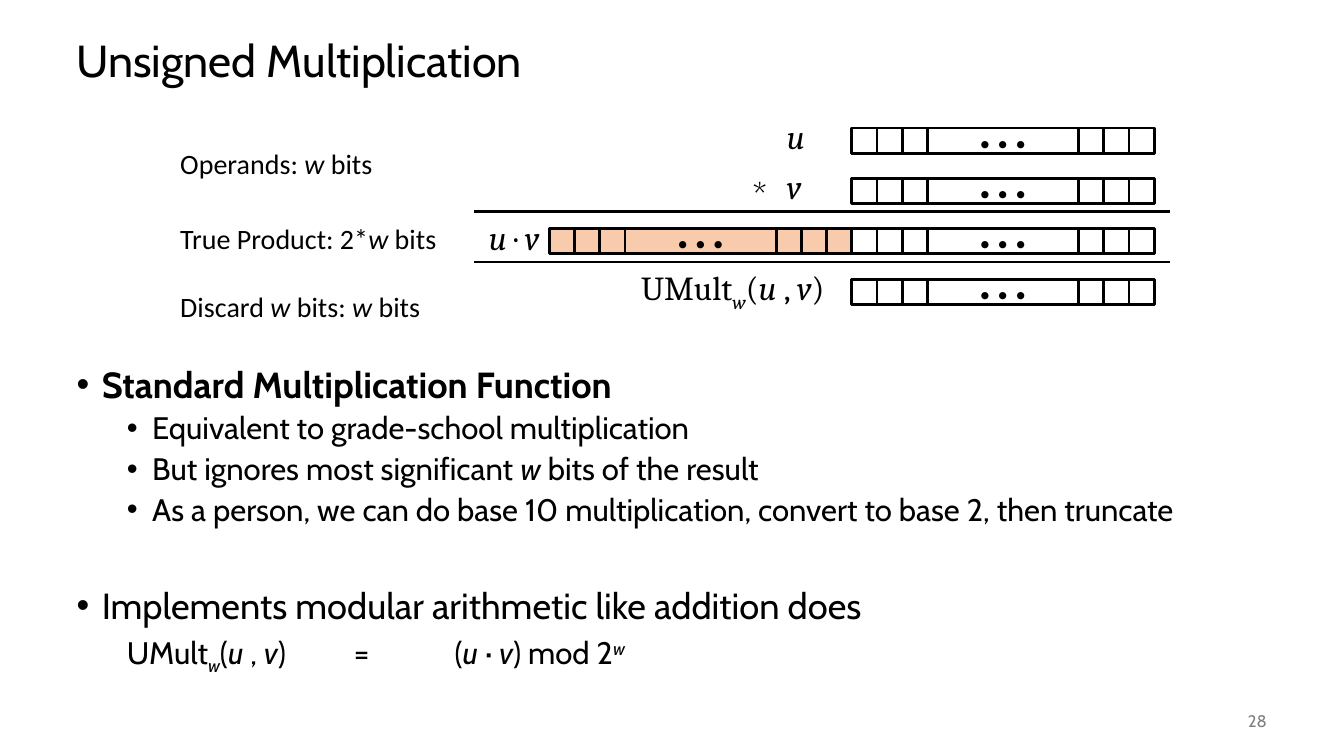
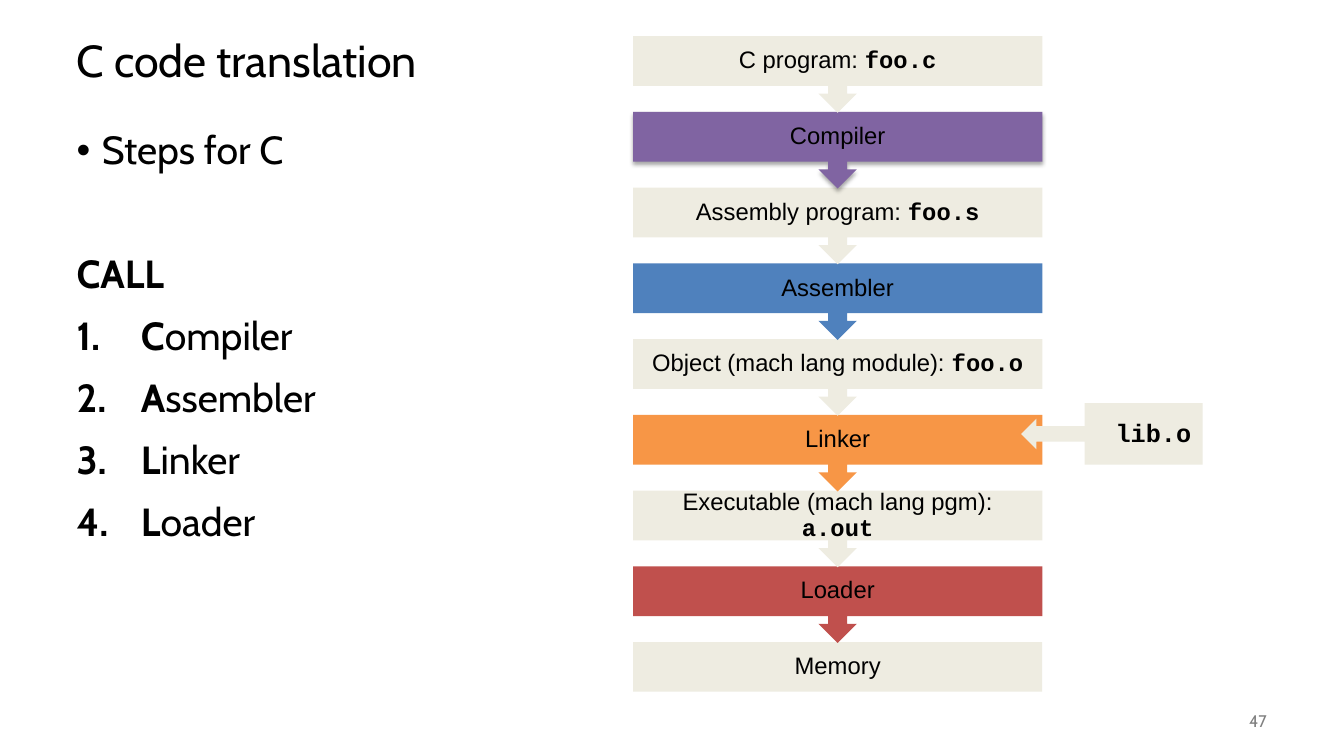
"""Build two lecture slides: unsigned multiplication and C code translation."""
from dataclasses import dataclass

from lxml import etree
from pptx import Presentation
from pptx.dml.color import RGBColor
from pptx.enum.shapes import MSO_CONNECTOR, MSO_SHAPE
from pptx.enum.text import MSO_ANCHOR, MSO_AUTO_SIZE, PP_ALIGN
from pptx.oxml.ns import qn
from pptx.util import Pt

RECTANGLE = MSO_SHAPE.RECTANGLE
DOWN_CALLOUT = MSO_SHAPE.DOWN_ARROW_CALLOUT
LEFT_CALLOUT = MSO_SHAPE.LEFT_ARROW_CALLOUT
STRAIGHT = MSO_CONNECTOR.STRAIGHT
MIDDLE = MSO_ANCHOR.MIDDLE
NO_FIT = MSO_AUTO_SIZE.NONE
LEFT, CENTER, RIGHT = PP_ALIGN.LEFT, PP_ALIGN.CENTER, PP_ALIGN.RIGHT


@dataclass(frozen=True)
class Theme:
    ink: RGBColor = RGBColor(0x00, 0x00, 0x00)
    paper: RGBColor = RGBColor(0xFF, 0xFF, 0xFF)
    muted: RGBColor = RGBColor(0x80, 0x80, 0x80)
    discarded: RGBColor = RGBColor(0xF8, 0xCB, 0xAD)
    artifact: RGBColor = RGBColor(0xEE, 0xEC, 0xE1)
    compiler: RGBColor = RGBColor(0x80, 0x64, 0xA2)
    assembler: RGBColor = RGBColor(0x4F, 0x81, 0xBD)
    linker: RGBColor = RGBColor(0xF7, 0x96, 0x46)
    loader: RGBColor = RGBColor(0xC0, 0x50, 0x4D)
    main_font: str = "Cabin"
    label_font: str = "Calibri"
    math_font: str = "Cambria"
    step_font: str = "Arial"
    code_font: str = "Courier New"
    title_size: float = 32
    steps_size: float = 28
    topic_size: float = 25.9
    detail_size: float = 22.2
    math_size: float = 24
    label_size: float = 20
    step_size: float = 17
    library_size: float = 18
    number_size: float = 12


THEME = Theme()
BASELINES = {"sub": "-25000", "sup": "30000"}


def write(paragraph, runs, size, font=THEME.main_font, color=THEME.ink, align=LEFT,
          spacing=1.0, before=0, bold=False, bullet=None, margin=0, hanging=0, tabs=()):
    """Fill a paragraph; a run is plain text or a pair of text and style."""
    properties = paragraph._p.get_or_add_pPr()
    properties.set("marL", str(Pt(margin)))
    properties.set("indent", str(-Pt(hanging)))
    if bullet == "1.":
        etree.SubElement(properties, qn("a:buFont"), typeface="+mj-lt")
        etree.SubElement(properties, qn("a:buAutoNum"), type="arabicPeriod")
    elif bullet:
        etree.SubElement(properties, qn("a:buFont"), typeface="Arial")
        etree.SubElement(properties, qn("a:buChar"), char=bullet)
    else:
        etree.SubElement(properties, qn("a:buNone"))
    if tabs:
        properties.set("defTabSz", str(Pt(72)))
        stops = etree.SubElement(properties, qn("a:tabLst"))
        for tab in tabs:
            etree.SubElement(stops, qn("a:tab"), pos=str(Pt(tab)), algn="l")
    paragraph.alignment = align
    paragraph.line_spacing = spacing
    paragraph.space_before = Pt(before)
    paragraph.font.size = Pt(size)
    paragraph.font.name = font
    paragraph.font.color.rgb = color
    paragraph.font.bold = bold
    for item in runs:
        text, style = (item, "") if isinstance(item, str) else item
        run = paragraph.add_run()
        run.text = text
        if style in ("i", "sub", "sup"):
            run.font.italic = True
        if style in BASELINES:
            run._r.get_or_add_rPr().set("baseline", BASELINES[style])
        if style in ("b", "code"):
            run.font.bold = True
        if style == "code":
            run.font.name = THEME.code_font


def add_slide(title, number, body_top, body_width, body_height):
    """Add a slide with title, number and body; return it and its body frame."""
    slide = deck.slides.add_slide(deck.slide_layouts[1])
    heading, body = slide.placeholders
    for holder, top, width, height in ((heading, 18, 864, 54),
                                       (body, body_top, body_width, body_height)):
        holder.left, holder.top = Pt(47.5), Pt(top)
        holder.width, holder.height = Pt(width), Pt(height)
        holder.text_frame.auto_size = NO_FIT
    heading.text_frame.vertical_anchor = MIDDLE
    write(heading.text_frame.paragraphs[0], [title], THEME.title_size, spacing=0.9)
    footer = slide.shapes.add_textbox(Pt(840), Pt(500.4), Pt(72), Pt(28.8)).text_frame
    footer.word_wrap = True
    footer.vertical_anchor = MIDDLE
    write(footer.paragraphs[0], [number], THEME.number_size, color=THEME.muted, align=RIGHT)
    return slide, body.text_frame


deck = Presentation()
deck.slide_width, deck.slide_height = Pt(960), Pt(540)

slide, body = add_slide("Unsigned Multiplication", "28", 258.5, 864, 227.5)
topic = dict(size=THEME.topic_size, bullet="•", margin=18, hanging=18)
detail = dict(size=THEME.detail_size, before=5, margin=54, hanging=18)
outline = [
    (0, ["Standard Multiplication Function"], dict(topic, bold=True)),
    (1, ["Equivalent to grade-school multiplication"], dict(detail, bullet="•")),
    (1, ["But ignores most significant ", ("w", "i"), " bits of the result"],
     dict(detail, bullet="•")),
    (1, ["As a person, we can do base 10 multiplication, convert to base 2, then truncate"],
     dict(detail, bullet="•")),
    (0, ["Implements modular arithmetic like addition does"], dict(topic, before=43)),
    (1, ["UMult", ("w", "sub"), "(", ("u", "i"), " , ", ("v", "i"), ")\t=\t(", ("u", "i"),
         " · ", ("v", "i"), ") mod 2", ("w", "sup")], dict(detail, tabs=(144, 216))),
]
for index, (level, runs, look) in enumerate(outline):
    paragraph = body.add_paragraph() if index else body.paragraphs[0]
    paragraph.level = level
    write(paragraph, runs, spacing=0.9, **look)

BIT = 18
MIDDLE_BITS = 6 * BIT
LOW_LEFT = 608.4
WORD_WIDTH = 2 * MIDDLE_BITS
ROW_TOP, ROW_STEP = 91.4, 36
words = [(LOW_LEFT, row, THEME.paper) for row in range(4)]
words.append((LOW_LEFT - WORD_WIDTH, 2, THEME.discarded))
bit_cells = [(side + i * BIT, BIT, []) for side in (0, 9 * BIT) for i in range(3)]
bit_cells.append((3 * BIT, MIDDLE_BITS, ["• • •"]))
for word_left, row, fill in words:
    for offset, width, dots in bit_cells:
        cell = slide.shapes.add_shape(RECTANGLE, Pt(word_left + offset),
                                      Pt(ROW_TOP + row * ROW_STEP), Pt(width), Pt(BIT))
        cell.shadow.inherit = False
        cell.fill.solid()
        cell.fill.fore_color.rgb = fill
        cell.line.color.rgb = THEME.ink
        cell.line.width = Pt(2)
        if dots:
            cell.text_frame.word_wrap = False
            cell.text_frame.vertical_anchor = MIDDLE
            write(cell.text_frame.paragraphs[0], dots, THEME.math_size, align=CENTER)

for rule_top in (151.2, 187.2):
    rule = slide.shapes.add_connector(STRAIGHT, Pt(338.4), Pt(rule_top), Pt(836), Pt(rule_top))
    rule.line.color.rgb = THEME.ink
    rule.line.width = Pt(2)
    etree.SubElement(rule._element.spPr, qn("a:effectLst"))

math = dict(size=THEME.math_size, font=THEME.math_font)
label = dict(size=THEME.label_size, font=THEME.label_font)
captions = [
    (555, 79.2, 36, [("u", "i")], math),
    (555, 115.2, 36, [("v", "i")], math),
    (530.6, 121, 36, ["*"], dict(size=THEME.math_size)),
    (324, 151.2, 68.4, [("u", "i"), " · ", ("v", "i")], dict(math, align=RIGHT)),
    (432, 187.2, 164, ["UMult", ("w", "sub"), "(", ("u", "i"), " , ", ("v", "i"), ")"],
     dict(math, align=RIGHT)),
    (121.7, 100.8, 216, ["Operands: ", ("w", "i"), " bits"], label),
    (121.7, 154.8, 216, ["True Product: 2*", ("w", "i"), " bits"], label),
    (121.7, 203, 216, ["Discard ", ("w", "i"), " bits: ", ("w", "i"), " bits"], label),
]
for left, top, width, runs, look in captions:
    caption = slide.shapes.add_textbox(Pt(left), Pt(top), Pt(width), Pt(36)).text_frame
    caption.word_wrap = True
    write(caption.paragraphs[0], runs, **look)

slide, body = add_slide("C code translation", "47", 90, 319, 396)
numbered = dict(bullet="1.", margin=46, hanging=46, before=14)
outline = [
    (["Steps for C"], dict(bullet="•", margin=18, hanging=18)),
    (["CALL"], dict(bold=True, before=58)),
    ([("C", "b"), "ompiler"], numbered),
    ([("A", "b"), "ssembler"], numbered),
    ([("L", "b"), "inker"], numbered),
    ([("L", "b"), "oader"], numbered),
]
for index, (runs, look) in enumerate(outline):
    paragraph = body.add_paragraph() if index else body.paragraphs[0]
    write(paragraph, runs, THEME.steps_size, spacing=0.9, **look)

STEP_LEFT, STEP_TOP, STEP_WIDTH, STEP_PITCH = 452.2, 25.9, 292.3, 54.1
CALLOUT_HEIGHT, BOX_HEIGHT = 54.7, 35.4
stages = [
    (["C program: ", ("foo.c", "code")], THEME.artifact),
    (["Compiler"], THEME.compiler),
    (["Assembly program: ", ("foo.s", "code")], THEME.artifact),
    (["Assembler"], THEME.assembler),
    (["Object (mach lang module): ", ("foo.o", "code")], THEME.artifact),
    (["Linker"], THEME.linker),
    (["Executable (mach lang pgm): ", ("a.out", "code")], THEME.artifact),
    (["Loader"], THEME.loader),
    (["Memory"], THEME.artifact),
]
step_look = dict(size=THEME.step_size, font=THEME.step_font)
library_look = dict(size=THEME.library_size, font=THEME.code_font, bold=True)
blocks = [
    (DOWN_CALLOUT, STEP_LEFT, STEP_TOP + i * STEP_PITCH, STEP_WIDTH, CALLOUT_HEIGHT,
     runs, fill, 9, 9, step_look)
    for i, (runs, fill) in enumerate(stages)
]
blocks[-1] = (RECTANGLE, *blocks[-1][1:4], BOX_HEIGHT, *blocks[-1][5:])
blocks.reverse()
blocks.append((LEFT_CALLOUT, 729.4, 288, 129.6, 43.9, ["lib.o"], THEME.artifact,
               14, 0, library_look))
for kind, left, top, width, height, runs, fill, inset_left, inset_right, look in blocks:
    block = slide.shapes.add_shape(kind, Pt(left), Pt(top), Pt(width), Pt(height))
    block.shadow.inherit = False
    block.fill.solid()
    block.fill.fore_color.rgb = fill
    block.line.fill.background()
    if kind != RECTANGLE:
        for index, share in enumerate((0.25, 0.25, 0.25, 0.65)):
            block.adjustments[index] = share
    if fill == THEME.compiler:
        effects = block._element.spPr.find(qn("a:effectLst"))
        shadow = etree.SubElement(effects, qn("a:outerShdw"), blurRad=str(Pt(3.1)),
                                  dist=str(Pt(1.8)), dir="5400000", rotWithShape="0")
        shade = etree.SubElement(shadow, qn("a:srgbClr"), val=str(THEME.ink))
        etree.SubElement(shade, qn("a:alpha"), val="35000")
    frame = block.text_frame
    frame.word_wrap = True
    frame.vertical_anchor = MIDDLE
    frame.margin_left, frame.margin_right = Pt(inset_left), Pt(inset_right)
    frame.margin_top = frame.margin_bottom = Pt(0)
    write(frame.paragraphs[0], runs, align=CENTER, spacing=0.9, **look)

deck.save("out.pptx")
